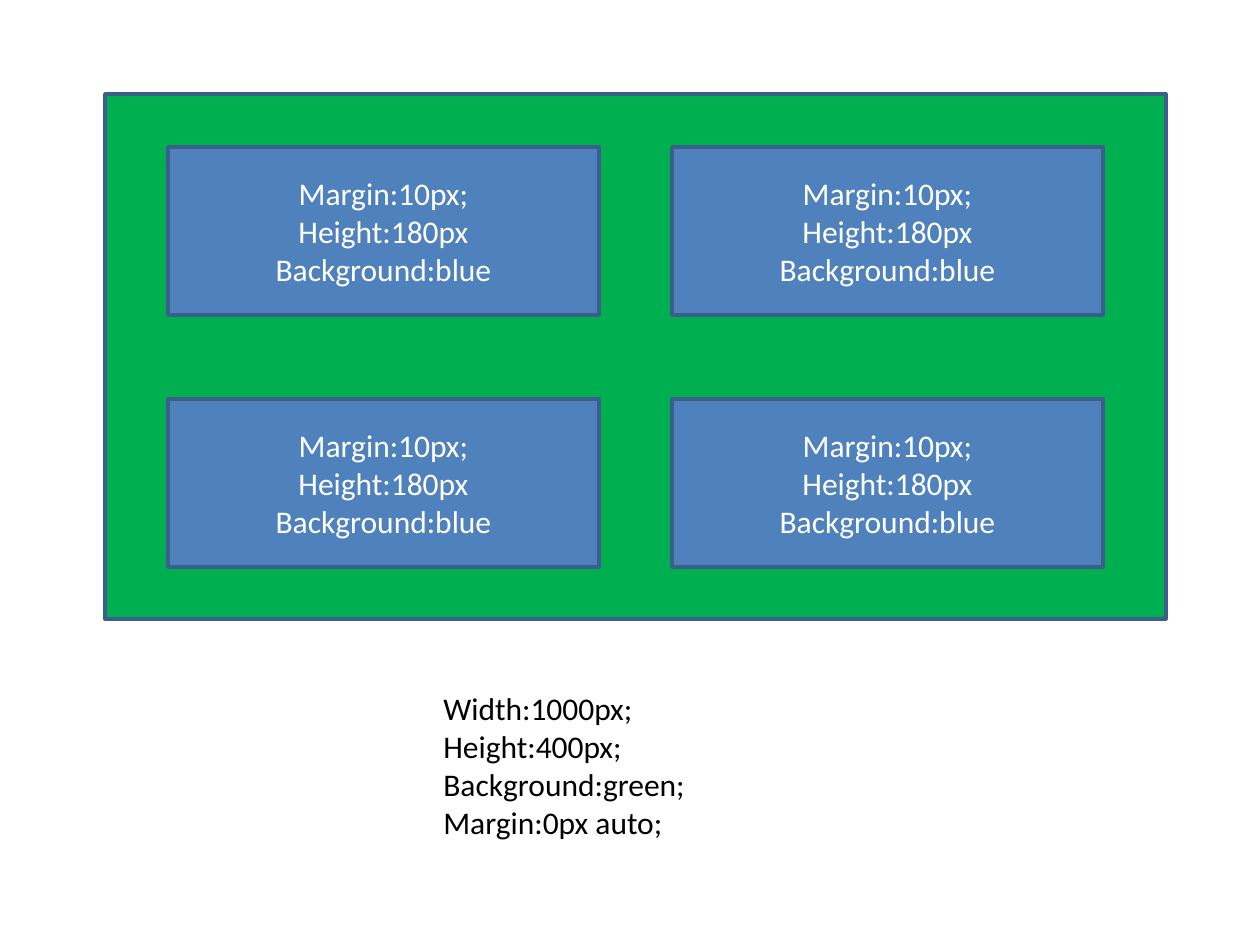
from itertools import product

from pptx import Presentation
from pptx.dml.color import RGBColor
from pptx.enum.shapes import MSO_SHAPE
from pptx.enum.text import MSO_ANCHOR, MSO_AUTO_SIZE, PP_ALIGN
from pptx.util import Emu, Inches, Pt

PX = 914400 / 126
COLORS = {"green": "00B050", "blue": "4F81BD", "border": "3A5F8C",
          "light": "FFFFFF", "dark": "000000"}
CARD_RULES = ["Margin:10px;", "Height:180px", "Background:blue"]
CONTAINER_RULES = ["Width:1000px;", "Height:400px;", "Background:green;", "Margin:0px auto;"]


def emu(*lengths):
    return [Emu(round(length * PX)) for length in lengths]


def color(name):
    return RGBColor.from_string(COLORS[name])


def write_rules(frame, rules, ink, align):
    frame.word_wrap = True
    for index, rule in enumerate(rules):
        paragraph = frame.paragraphs[0] if index == 0 else frame.add_paragraph()
        paragraph.alignment = align
        run = paragraph.add_run()
        run.text = rule
        run.font.name = "Calibri"
        run.font.size = Pt(18)
        run.font.color.rgb = color(ink)


def add_panel(slide, box, fill):
    panel = slide.shapes.add_shape(MSO_SHAPE.RECTANGLE, *emu(*box))
    panel.shadow.inherit = False
    panel.fill.solid()
    panel.fill.fore_color.rgb = color(fill)
    panel.line.color.rgb = color("border")
    panel.line.width = Pt(2)
    return panel


def add_card(slide, box):
    frame = add_panel(slide, box, "blue").text_frame
    frame.vertical_anchor = MSO_ANCHOR.MIDDLE
    write_rules(frame, CARD_RULES, "light", PP_ALIGN.CENTER)


def add_container(slide, box):
    left, top, width, height = box
    add_panel(slide, box, "green")
    inset_x, inset_y, step_x, step_y = 63, 53, 504, 252
    for row, column in product(range(2), repeat=2):
        add_card(slide, (left + inset_x + column * step_x,
                         top + inset_y + row * step_y, 431, 168))


def add_container_rules(slide, box):
    frame = slide.shapes.add_textbox(*emu(*box)).text_frame
    write_rules(frame, CONTAINER_RULES, "dark", PP_ALIGN.LEFT)
    frame.auto_size = MSO_AUTO_SIZE.SHAPE_TO_FIT_TEXT


deck = Presentation()
deck.slide_width, deck.slide_height = Inches(10), Inches(7.5)
layout_slide = deck.slides.add_slide(deck.slide_layouts[6])
add_container(layout_slide, (105, 94, 1061, 525))
add_container_rules(layout_slide, (431, 683, 441, 165))
deck.save("out.pptx")
